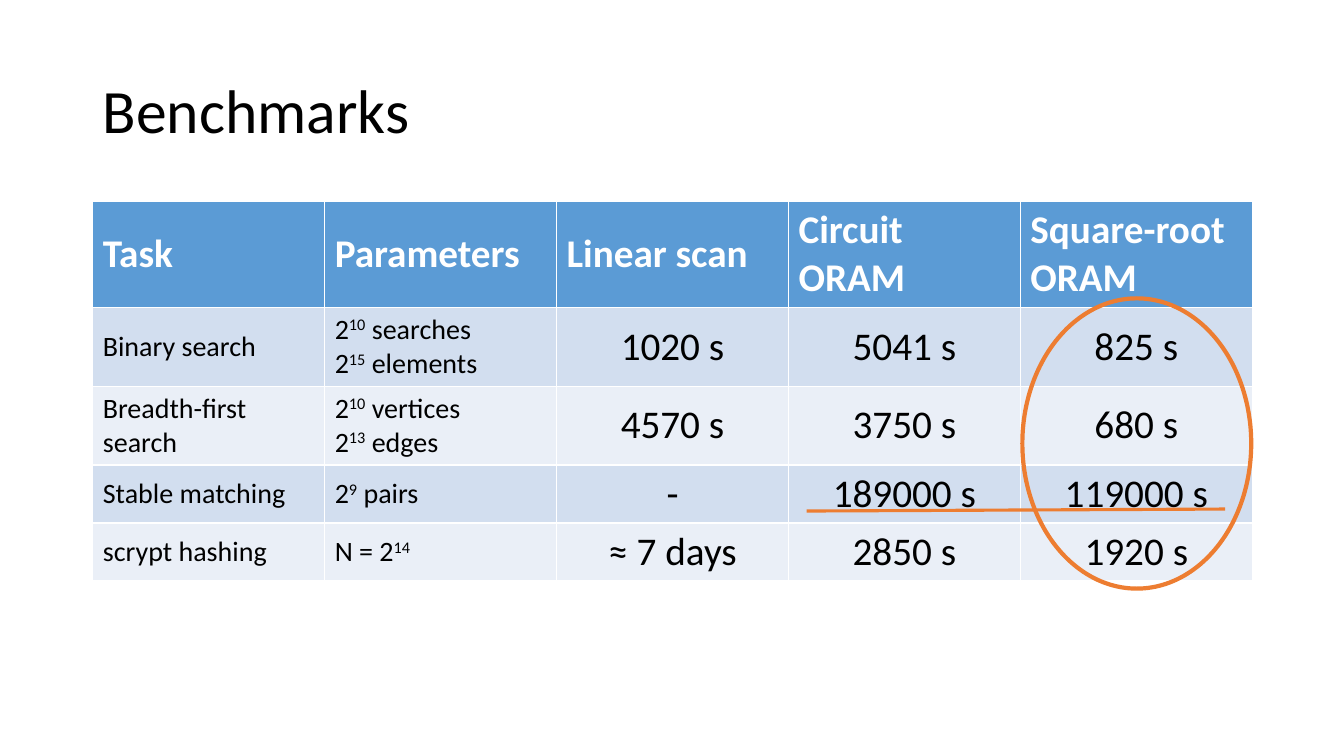
import pptx
import pptx.util
import pptx.dml.color
import pptx.enum.shapes
import pptx.enum.text
from dataclasses import dataclass
from pptx.oxml import ns

Inches = pptx.util.Inches
Align = pptx.enum.text.PP_ALIGN
Anchor = pptx.enum.text.MSO_ANCHOR


@dataclass(frozen=True)
class Theme:
    font: str = "Calibri"
    ink: str = "000000"
    paper: str = "FFFFFF"
    head: str = "5B9BD5"
    bands: tuple = ("D2DEEF", "EAEFF7")
    mark: str = "ED7D31"
    title: int = 44
    large: int = 28
    small: int = 20


THEME = Theme()

# Text between carets is superscript; \v breaks a line, \n a paragraph.
HEADS = ["Task", "Parameters", "Linear scan", "Circuit ORAM", "Square-root ORAM"]
TASKS = [
    ["Binary search", "2^10^ searches\v2^15^ elements", "1020 s", "5041 s", "825 s"],
    ["Breadth-first search", "2^10^ vertices\n2^13^ edges", "4570 s", "3750 s", "680 s"],
    ["Stable matching", "2^9^ pairs", "-", "189000 s", "119000 s"],
    ["scrypt hashing", "N = 2^14^", "≈ 7 days", "2850 s", "1920 s"],
]


def paint(code):
    return pptx.dml.color.RGBColor.from_string(code)


def write(frame, text, size, color=THEME.ink, bold=False, align=Align.LEFT, spacing=None):
    """Fill a text frame, reading the caret and break marks."""
    for i, part in enumerate(text.split("\n")):
        para = frame.add_paragraph() if i else frame.paragraphs[0]
        para.alignment = align
        if spacing:
            para.line_spacing = spacing
        for j, piece in enumerate(part.split("^")):
            for k, line in enumerate(piece.split("\v")):
                if k:
                    para.add_line_break()
                if not line:
                    continue
                run = para.add_run()
                run.text = line
                font = run.font
                font.name, font.size, font.bold = THEME.font, pptx.util.Pt(size), bold
                font.color.rgb = paint(color)
                if j % 2:
                    font._element.set("baseline", "30000")


def add_title(slide, text, left, top, width, height):
    title = slide.shapes.title
    title.left, title.top = Inches(left), Inches(top)
    title.width, title.height = Inches(width), Inches(height)
    title.text_frame.vertical_anchor = Anchor.MIDDLE
    write(title.text_frame, text, THEME.title, spacing=0.9)


def add_grid(slide, left, top, width, height):
    """Place the table; rows grow from the given height to fit their text."""
    rows = [HEADS] + TASKS
    table = slide.shapes.add_table(
        len(rows), len(HEADS), Inches(left), Inches(top), Inches(width), Inches(height)
    ).table
    for i, row in enumerate(rows):
        for j, text in enumerate(row):
            cell = table.cell(i, j)
            cell.vertical_anchor = Anchor.MIDDLE
            cell.fill.solid()
            if i == 0:
                cell.fill.fore_color.rgb = paint(THEME.head)
                write(cell.text_frame, text, THEME.large, color=THEME.paper, bold=True)
                continue
            cell.fill.fore_color.rgb = paint(THEME.bands[(i - 1) % 2])
            if j < 2:
                write(cell.text_frame, text, THEME.small)
            else:
                write(cell.text_frame, text, THEME.large, align=Align.CENTER)


def add_marks(slide, left, top, width, height):
    """Ring the last column and underline the slowest task."""
    ring = slide.shapes.add_shape(
        pptx.enum.shapes.MSO_SHAPE.OVAL,
        Inches(left), Inches(top), Inches(width), Inches(height),
    )
    ring.shadow.inherit = False
    ring.fill.background()
    rule = slide.shapes.add_connector(
        pptx.enum.shapes.MSO_CONNECTOR.STRAIGHT,
        Inches(left - 2.14), Inches(top + 2.11),
        Inches(left + 2.01), Inches(top + 2.09),
    )
    for shape, weight in ((ring, 3), (rule, 2.25)):
        shape.line.color.rgb = paint(THEME.mark)
        shape.line.width = pptx.util.Pt(weight)
    props = rule._element.spPr
    props.append(props.makeelement(ns.qn("a:effectLst"), {}))


def main():
    deck = pptx.Presentation()
    deck.slide_width, deck.slide_height = Inches(13.33), Inches(7.5)
    slide = deck.slides.add_slide(deck.slide_layouts.get_by_name("Title Only"))
    add_title(slide, "Benchmarks", 0.92, 0.4, 11.5, 1.45)
    add_grid(slide, 0.92, 2, 11.5, 2.05)
    add_marks(slide, 10.14, 2.96, 2.27, 2.88)
    deck.save("out.pptx")


if __name__ == "__main__":
    main()
